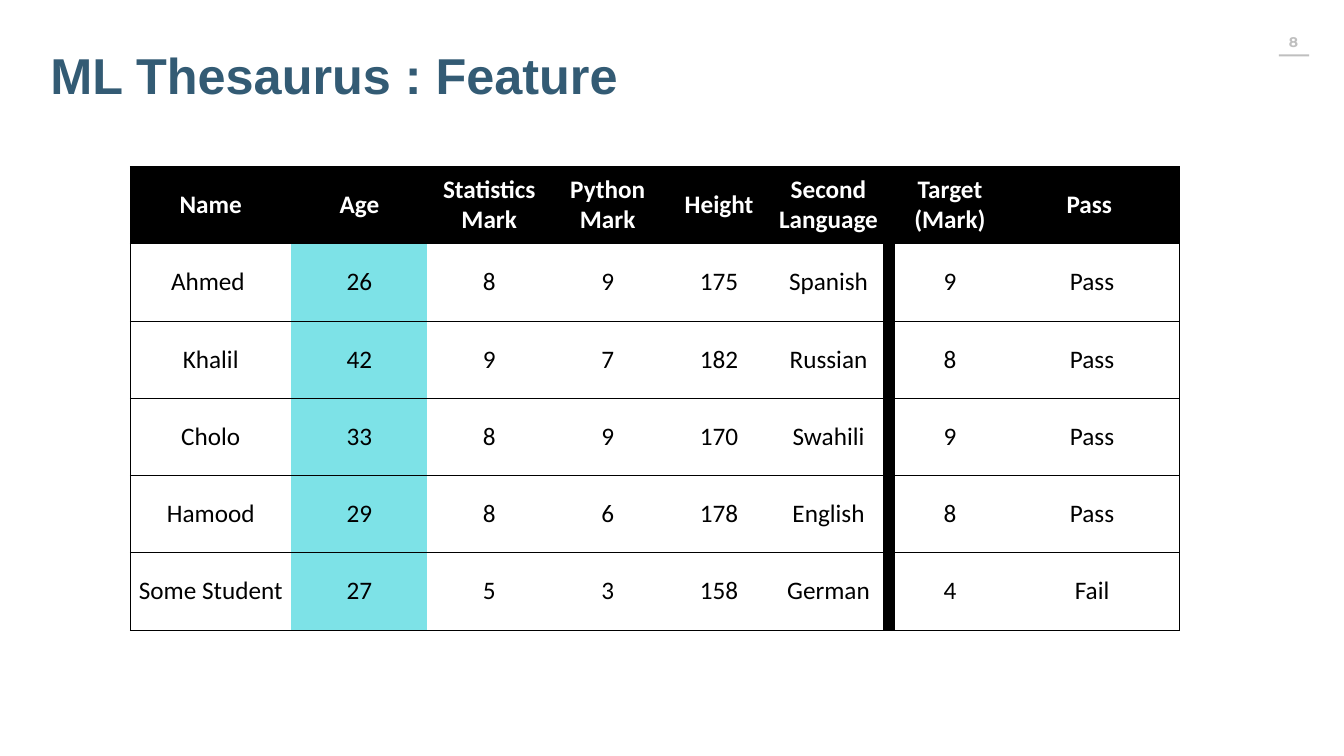
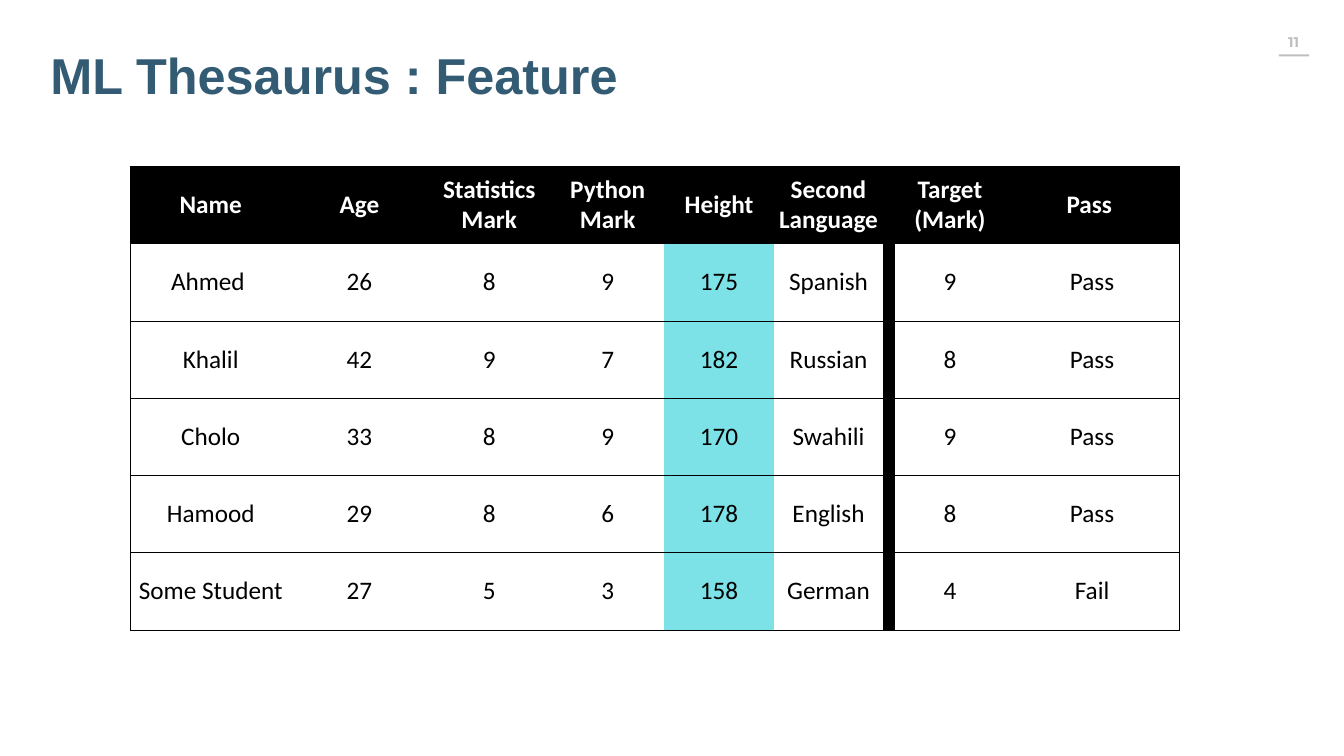
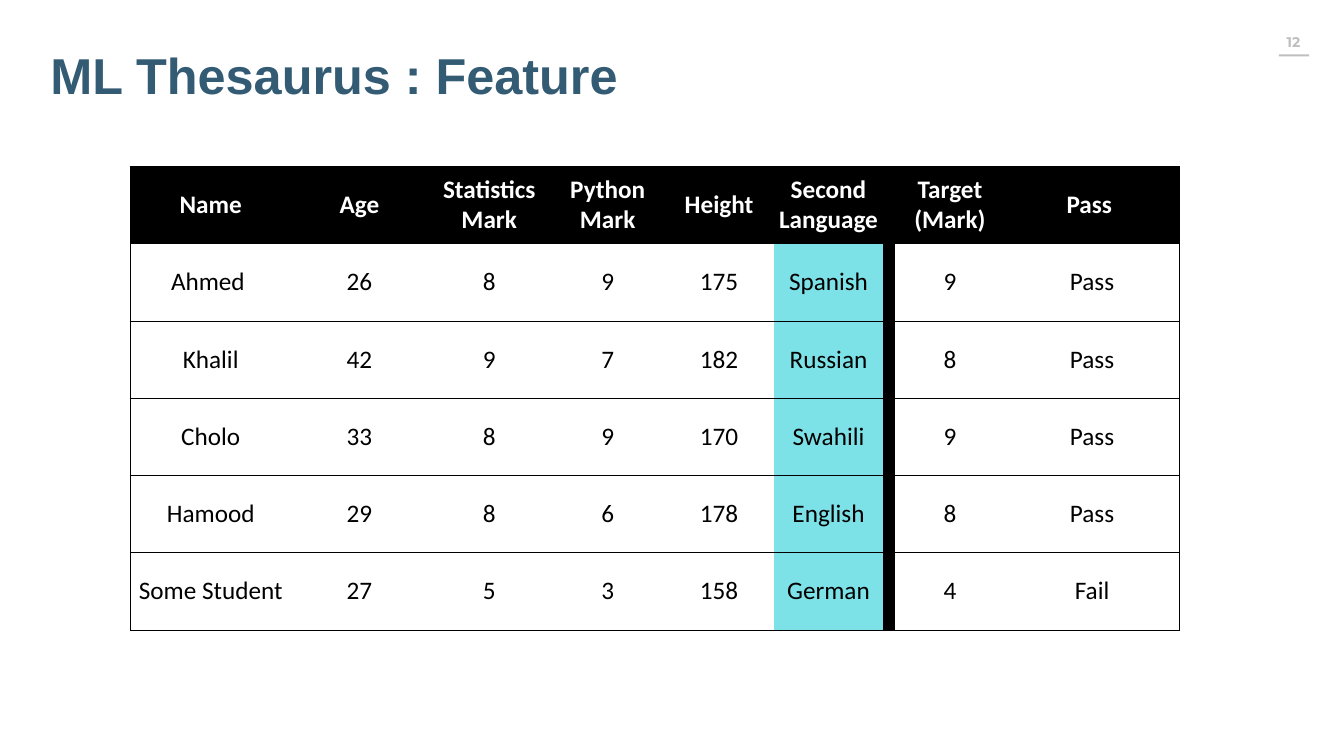
from lxml import etree
from pptx import Presentation
from pptx.dml.color import RGBColor
from pptx.enum.shapes import MSO_SHAPE
from pptx.enum.text import MSO_ANCHOR, PP_ALIGN
from pptx.oxml.ns import qn
from pptx.util import Pt

RECT = MSO_SHAPE.RECTANGLE
MIDDLE = MSO_ANCHOR.MIDDLE
LEFT, CENTER = PP_ALIGN.LEFT, PP_ALIGN.CENTER

SCALE = 9144
BLACK, WHITE, GREY = "000000", "FFFFFF", "BFBFBF"
NAVY, AQUA = "335B74", "7DE2E7"
TITLE = {"name": "Arial", "size": Pt(72), "bold": True}
NUMBER = {"name": "Montserrat", "size": Pt(20), "bold": True}
HEAD = {"name": "Calibri", "size": Pt(36), "bold": True}
BODY = {**HEAD, "bold": False}

WIDTHS = [320, 270, 245, 225, 217, 217, 23, 217, 347]
TABLE_HEIGHT = 920
ROWS = [
    ["Name", "Age", "Statistics Mark", "Python Mark", "Height",
     "Second Language", "", "Target\n(Mark)", "Pass "],
    ["Ahmed ", "26", "8", "9", "175", "Spanish", "", "9", "Pass"],
    ["Khalil", "42", "9", "7", "182", "Russian", "", "8", "Pass"],
    ["Cholo", "33", "8", "9", "170", "Swahili", "", "9", "Pass"],
    ["Hamood", "29", "8", "6", "178", "English", "", "8", "Pass"],
    ["Some Student", "27", "5", "3", "158", "German", "", "4", "Fail"],
]
DIVIDER = ROWS[0].index("")
SLIDES = [("8", "Age"), ("11", "Height"), ("12", "Second Language")]


def px(*sizes):
    """Turn pixel lengths into EMU."""
    return [size * SCALE for size in sizes]


def rgb(code):
    """Turn a hex string into a colour."""
    return RGBColor.from_string(code)


def write(frame, text, style, color, align):
    """Fill a text frame, one paragraph per line, in one style."""
    frame.text = text
    for para in frame.paragraphs:
        para.alignment = align
        for key, value in style.items():
            setattr(para.font, key, value)
        para.font.color.rgb = rgb(color)


def add_text(slide, box, text, style, color, align=LEFT, **format):
    """Add a text box with the given frame settings."""
    frame = slide.shapes.add_textbox(*px(*box)).text_frame
    for key, value in {"word_wrap": True, **format}.items():
        setattr(frame, key, value)
    write(frame, text, style, color, align)


def add_bar(slide, box, color):
    """Add a plain filled bar."""
    bar = slide.shapes.add_shape(RECT, *px(*box))
    bar.shadow.inherit = False
    bar.fill.solid()
    bar.fill.fore_color.rgb = rgb(color)
    bar.line.fill.background()


def add_edge(cell, side, color=None):
    """Draw one cell border, or clear it when no colour is given."""
    edge = etree.SubElement(cell._tc.get_or_add_tcPr(), qn(f"a:ln{side}"), w=str(Pt(0.5)))
    if color:
        fill = etree.SubElement(edge, qn("a:solidFill"))
        etree.SubElement(fill, qn("a:srgbClr"), val=color)
    else:
        etree.SubElement(edge, qn("a:noFill"))


def set_cell(cell, text, head, fill, edges):
    """Set the borders, fill and text of one cell."""
    for side, color in edges.items():
        add_edge(cell, side, color)
    if fill:
        cell.fill.solid()
        cell.fill.fore_color.rgb = rgb(fill)
    else:
        cell.fill.background()
    cell.vertical_anchor = MIDDLE
    if text:
        write(cell.text_frame, text, HEAD if head else BODY,
              WHITE if head else BLACK, CENTER)


def add_marks(slide, feature):
    """Add the table of students with one feature column lit."""
    box = px(258, 330, sum(WIDTHS), TABLE_HEIGHT)
    table = slide.shapes.add_table(len(ROWS), len(WIDTHS), *box).table
    table.horz_banding = False
    for column, width in zip(table.columns, px(*WIDTHS)):
        column.width = width
    lit, last = ROWS[0].index(feature), len(WIDTHS) - 1
    for r, row in enumerate(ROWS):
        for c, text in enumerate(row):
            head = r == 0
            fill = BLACK if head or c == DIVIDER else AQUA if c == lit else None
            edges = {"L": BLACK if c == 0 else None,
                     "R": BLACK if c == last else None,
                     "T": BLACK, "B": BLACK}
            set_cell(table.cell(r, c), text, head, fill, edges)


def add_frame(slide, number):
    """Add the page number, its bar and the title."""
    left, right = px(20, 36)
    add_text(slide, (2531, 62, 86, 54), number, NUMBER, GREY, CENTER,
             word_wrap=False, margin_left=left, margin_right=right)
    add_bar(slide, (2537, 108, 60, 4), GREY)
    add_text(slide, (90, 82, 2090, 131), "ML Thesaurus : Feature", TITLE, NAVY)


def main():
    """Build the deck."""
    deck = Presentation()
    deck.slide_width, deck.slide_height = px(2666, 1500)
    for number, feature in SLIDES:
        slide = deck.slides.add_slide(deck.slide_layouts[6])
        add_frame(slide, number)
        add_marks(slide, feature)
    deck.save("out.pptx")


if __name__ == "__main__":
    main()
